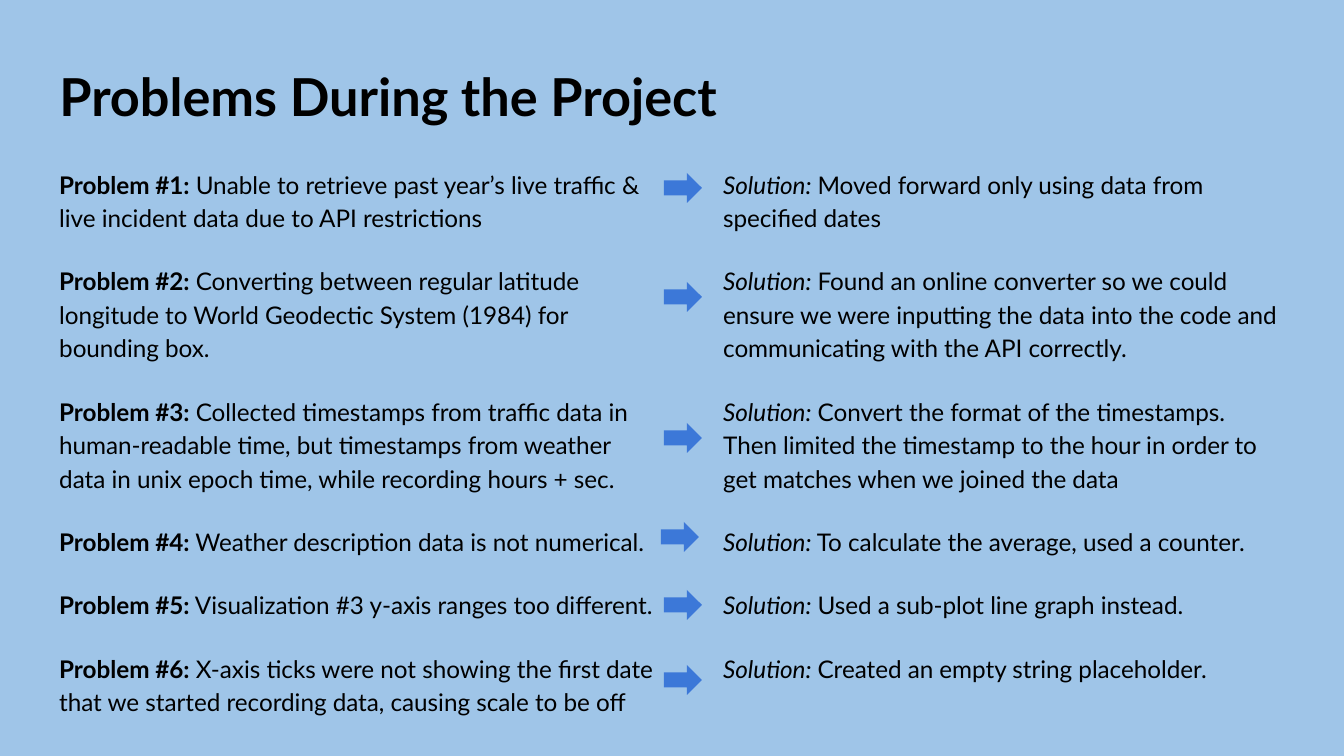
from pptx import Presentation
from pptx import util as u
from pptx.dml.color import RGBColor
from pptx.enum import shapes, text

TITLE = "Problems During the Project"
ISSUES = [  # problem, solution, arrow left and top in px
    ("Unable to retrieve past year’s live traffic & live incident data due to API restrictions",
     "Moved forward only using data from specified dates", (664, 173)),
    ("Converting between regular latitude longitude to World Geodectic System (1984) "
     "for bounding box.",
     "Found an online converter so we could ensure we were inputting the data into the code "
     "and communicating with the API correctly.", (664, 282)),
    ("Collected timestamps from traffic data in human-readable time, but timestamps from "
     "weather data in unix epoch time, while recording hours + sec.",
     "Convert the format of the timestamps. Then limited the timestamp to the hour in order "
     "to get matches when we joined the data", (664, 423)),
    ("Weather description data is not numerical.",
     "To calculate the average, used a counter.", (661, 522)),
    ("Visualization #3 y-axis ranges too different.",
     "Used a sub-plot line graph instead.", (664, 590)),
    ("X-axis ticks were not showing the first date that we started recording data, "
     "causing scale to be off",
     "Created an empty string placeholder.", (664, 665)),
]

COLORS = {"background": "9FC5E8", "text": "000000", "arrow": "3C78D8"}
FONT = "Lato"
FRAME = {"word_wrap": True, "auto_size": text.MSO_AUTO_SIZE.NONE,
         "vertical_anchor": text.MSO_ANCHOR.TOP}
FRAME.update({f"margin_{side}": u.Inches(0.1) for side in ("left", "top", "right", "bottom")})
SCALE = 9144000 / 1344


def px(*lengths):
    return [round(length * SCALE) for length in lengths]


def color(name):
    return RGBColor.from_string(COLORS[name])


def set_values(target, values):
    for name, value in values.items():
        setattr(target, name, value)


def add_span(para, words, size, **style):
    span = para.add_run()
    span.text = words
    set_values(span.font, {"name": FONT, "size": u.Pt(size), **style})
    span.font.color.rgb = color("text")


def add_column(page, left, width, entries, style):
    """Add a text column; each entry is a label, set in the style, and its plain text."""
    box = page.shapes.add_textbox(*px(left, 152, width, 591))
    frame = box.text_frame
    set_values(frame, FRAME)
    for number, (label, words) in enumerate(entries):
        para = frame.add_paragraph() if number else frame.paragraphs[0]
        set_values(para, {"line_spacing": 1.15, "space_before": u.Pt(16 if number else 0)})
        add_span(para, label, 13, **{style: True})
        add_span(para, " " + words, 13, **{style: False})


def add_arrow(page, left, top):
    arrow = page.shapes.add_shape(shapes.MSO_SHAPE.RIGHT_ARROW, *px(left, top, 38, 30))
    arrow.shadow.inherit = False
    arrow.fill.solid()
    arrow.fill.fore_color.rgb = color("arrow")
    arrow.line.fill.background()


def main():
    deck = Presentation()
    deck.slide_width, deck.slide_height = px(1344, 756)
    page = deck.slides.add_slide(deck.slide_layouts[5])
    page.background.fill.solid()
    page.background.fill.fore_color.rgb = color("background")

    title = page.shapes.title
    title.left, title.top, title.width, title.height = px(46, 51, 1269, 85)
    set_values(title.text_frame, FRAME)
    para = title.text_frame.paragraphs[0]
    para.alignment = text.PP_ALIGN.LEFT
    add_span(para, TITLE, 28, bold=True)

    problems = [(f"Problem #{number}:", problem)
                for number, (problem, _, _) in enumerate(ISSUES, 1)]
    solutions = [("Solution:", solution) for _, solution, _ in ISSUES]
    add_column(page, 46, 626, problems, "bold")
    add_column(page, 710, 581, solutions, "italic")
    for _, _, place in ISSUES:
        add_arrow(page, *place)
    deck.save("out.pptx")


if __name__ == "__main__":
    main()
